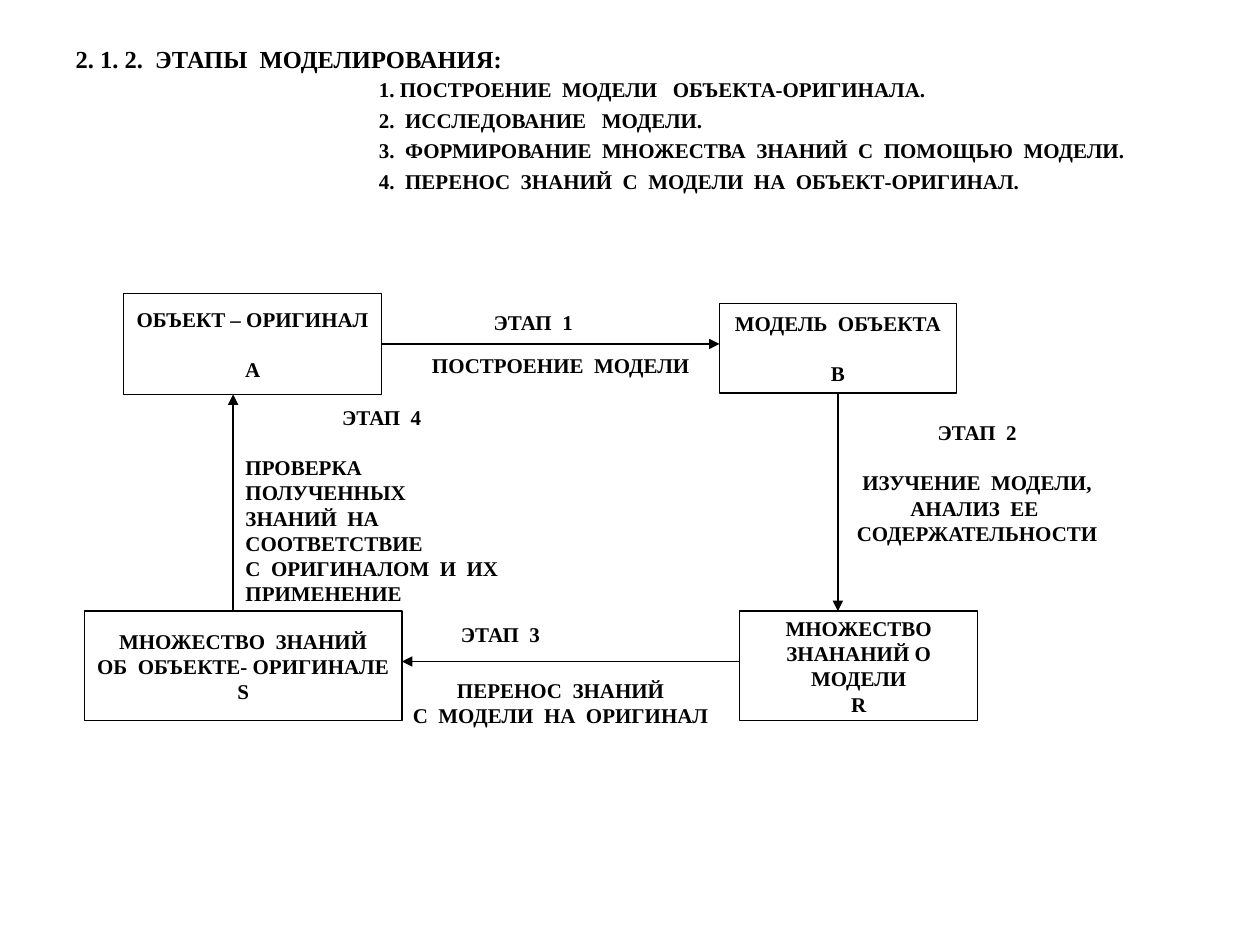
"""Build a slide on the four stages of modelling with a cycle diagram."""
from lxml import etree
from pptx import Presentation
from pptx.dml.color import RGBColor
from pptx.enum.shapes import MSO_CONNECTOR, MSO_SHAPE
from pptx.enum.text import MSO_ANCHOR, MSO_AUTO_SIZE, PP_ALIGN
from pptx.oxml.ns import qn
from pptx.util import Inches, Pt

BLACK = RGBColor(0x00, 0x00, 0x00)
WHITE = RGBColor(0xFF, 0xFF, 0xFF)
FONT = "Times New Roman"
LEFT, CENTER = PP_ALIGN.LEFT, PP_ALIGN.CENTER
TOP, MIDDLE = MSO_ANCHOR.TOP, MSO_ANCHOR.MIDDLE
NO_FIT, FIT_SHAPE = MSO_AUTO_SIZE.NONE, MSO_AUTO_SIZE.SHAPE_TO_FIT_TEXT
RECTANGLE, STRAIGHT = MSO_SHAPE.RECTANGLE, MSO_CONNECTOR.STRAIGHT
BLANK_LINE = Pt(14.4)


def write(text_frame, text, alignment, size=12):
    text_frame.text = text
    for paragraph in text_frame.paragraphs:
        paragraph.alignment = alignment
        paragraph.space_before = Pt(0)
        for run in paragraph.runs:
            run.font.name = FONT
            run.font.size = Pt(size)
            run.font.bold = True
            run.font.color.rgb = BLACK


presentation = Presentation()
presentation.slide_width = Inches(10)
presentation.slide_height = Inches(7.5)
slide = presentation.slides.add_slide(presentation.slide_layouts[5])

title = slide.shapes.title
title.left, title.top = Inches(0.5), Inches(0.3)
title.width, title.height = Inches(9.23), Inches(0.32)
title.text_frame.vertical_anchor = TOP
title.text_frame.auto_size = NO_FIT
write(title.text_frame, "2. 1. 2.  ЭТАПЫ  МОДЕЛИРОВАНИЯ:", LEFT, 14)

stage_list = slide.shapes.add_textbox(Inches(2.91), Inches(0.56), Inches(6.6), Inches(1.05))
stage_list.text_frame.word_wrap = True
write(stage_list.text_frame, "\n".join([
    "1. ПОСТРОЕНИЕ  МОДЕЛИ   ОБЪЕКТА-ОРИГИНАЛА.",
    "2.  ИССЛЕДОВАНИЕ   МОДЕЛИ.",
    "3.  ФОРМИРОВАНИЕ  МНОЖЕСТВА  ЗНАНИЙ  С  ПОМОЩЬЮ  МОДЕЛИ.",
    "4.  ПЕРЕНОС  ЗНАНИЙ  С  МОДЕЛИ  НА  ОБЪЕКТ-ОРИГИНАЛ.",
]), LEFT)
for paragraph in stage_list.text_frame.paragraphs[1:]:
    paragraph.space_before = Pt(3)

boxes = {
    "A": (0.98, 2.33, 2.05, 0.8, "ОБЪЕКТ – ОРИГИНАЛ\nА"),
    "B": (5.71, 2.41, 1.88, 0.71, "МОДЕЛЬ  ОБЪЕКТА\nВ"),
    "R": (5.87, 4.85, 1.89, 0.87, "МНОЖЕСТВО\nЗНАНАНИЙ О\nМОДЕЛИ\nR"),
    "S": (0.67, 4.85, 2.52, 0.87, "МНОЖЕСТВО  ЗНАНИЙ\nОБ  ОБЪЕКТЕ- ОРИГИНАЛЕ\nS"),
}
box_shapes = {}
for name, (left, top, width, height, text) in boxes.items():
    shape = slide.shapes.add_shape(
        RECTANGLE, Inches(left), Inches(top), Inches(width), Inches(height))
    shape.shadow.inherit = False
    shape.fill.solid()
    shape.fill.fore_color.rgb = WHITE
    shape.line.color.rgb = BLACK
    shape.line.width = Pt(0.75)
    shape.text_frame.word_wrap = False
    shape.text_frame.vertical_anchor = MIDDLE
    write(shape.text_frame, text, CENTER)
    box_shapes[name] = shape
for name in ("A", "B"):
    box_shapes[name].text_frame.paragraphs[1].space_before = BLANK_LINE

arrows = [
    (3.03, 2.73, 5.71, 2.73, ("A", 3)),
    (6.65, 3.12, 6.65, 4.85, ("B", 2)),
    (5.87, 5.25, 3.19, 5.25, None),
    (1.85, 4.85, 1.85, 3.13, None),
]
for start_x, start_y, end_x, end_y, joint in arrows:
    arrow = slide.shapes.add_connector(
        STRAIGHT, Inches(start_x), Inches(start_y), Inches(end_x), Inches(end_y))
    if joint:
        name, side = joint
        arrow.begin_connect(box_shapes[name], side)
    arrow.line.color.rgb = BLACK
    arrow.line.width = Pt(0.75)
    properties = arrow.line._get_or_add_ln()
    etree.SubElement(properties, qn("a:tailEnd"), type="triangle")
    etree.SubElement(arrow._element.spPr, qn("a:effectLst"))

labels = [
    (3.82, 2.41, 0.84, 0.3, False, LEFT, "ЭТАП  1"),
    (3.33, 2.75, 2.25, 0.3, False, LEFT, "ПОСТРОЕНИЕ  МОДЕЛИ"),
    (6.65, 3.28, 2.21, 1.1, True, CENTER,
     "ЭТАП  2\nИЗУЧЕНИЕ  МОДЕЛИ,\nАНАЛИЗ  ЕЕ  СОДЕРЖАТЕЛЬНОСТИ"),
    (3.56, 4.88, 0.84, 0.3, False, LEFT, "ЭТАП  3"),
    (3.17, 5.33, 2.56, 0.5, False, CENTER, "ПЕРЕНОС  ЗНАНИЙ\nС  МОДЕЛИ  НА  ОРИГИНАЛ"),
    (1.85, 3.16, 2.36, 1.7, True, LEFT,
     "ЭТАП  4\nПРОВЕРКА ПОЛУЧЕННЫХ\nЗНАНИЙ  НА  СООТВЕТСТВИЕ\n"
     "С  ОРИГИНАЛОМ  И  ИХ\nПРИМЕНЕНИЕ"),
]
for left, top, width, height, wraps, alignment, text in labels:
    label = slide.shapes.add_textbox(Inches(left), Inches(top), Inches(width), Inches(height))
    label.text_frame.word_wrap = wraps
    label.text_frame.auto_size = FIT_SHAPE
    write(label.text_frame, text, alignment)
    if wraps:
        heading, description = label.text_frame.paragraphs[:2]
        heading.alignment = CENTER
        description.space_before = BLANK_LINE

presentation.save("out.pptx")
